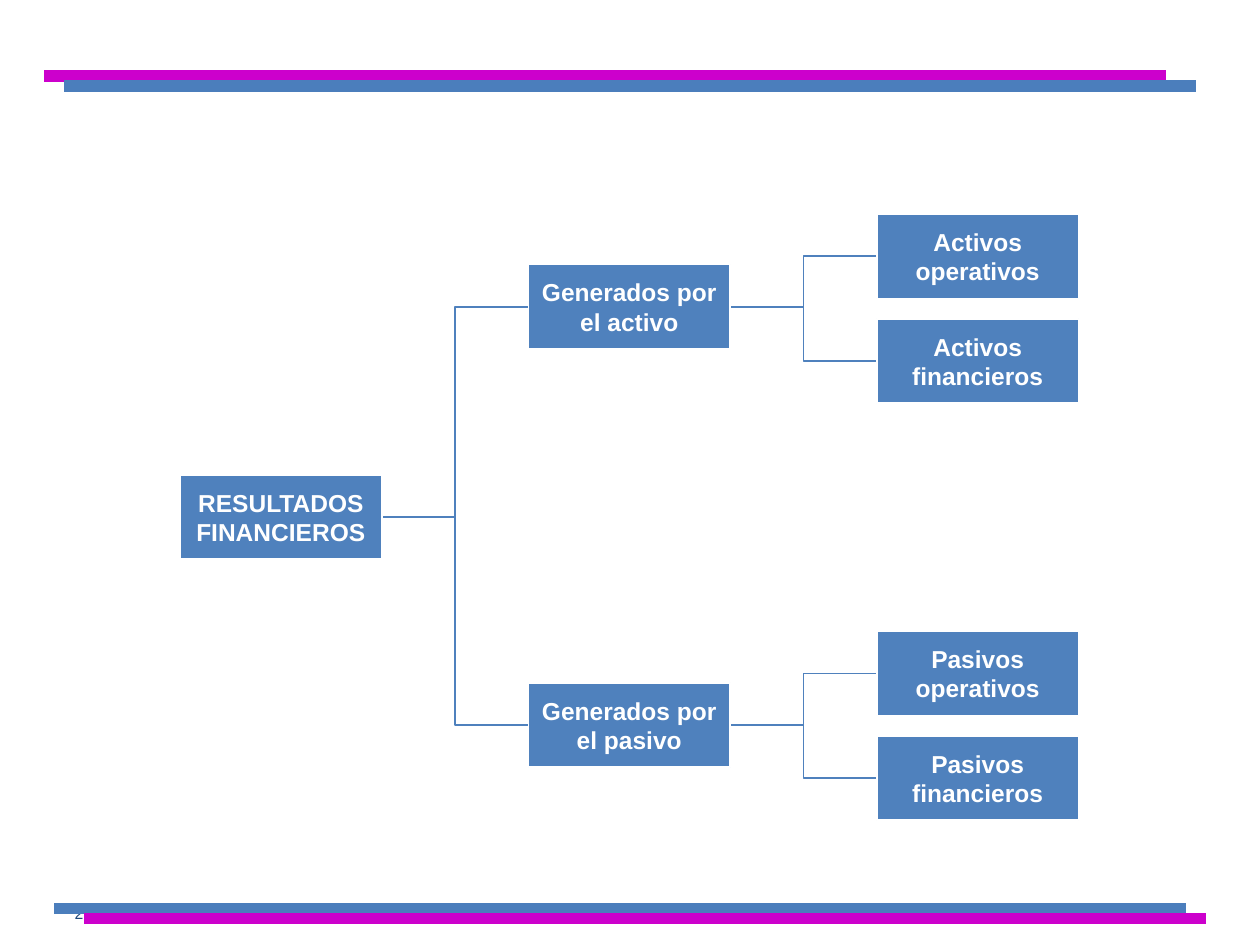
from dataclasses import dataclass

from lxml.etree import SubElement
from pptx import Presentation
from pptx.dml.color import RGBColor
from pptx.enum.shapes import MSO_CONNECTOR, MSO_SHAPE
from pptx.enum.text import MSO_ANCHOR, PP_ALIGN
from pptx.oxml.ns import qn
from pptx.util import Inches, Pt


@dataclass(frozen=True)
class Theme:
    """Colours, font and sizes of the slide."""
    node: RGBColor = RGBColor(0x4F, 0x81, 0xBD)
    white: RGBColor = RGBColor(0xFF, 0xFF, 0xFF)
    blue_bar: RGBColor = RGBColor(0x4B, 0x7E, 0xBC)
    magenta_bar: RGBColor = RGBColor(0xCC, 0x00, 0xCC)
    number: RGBColor = RGBColor(0x1F, 0x49, 0x7D)
    font: str = "Arial"
    node_size: Pt = Pt(14)
    number_size: Pt = Pt(9)
    thin: Pt = Pt(1)
    thick: Pt = Pt(6.75)


THEME = Theme()
NODE_WIDTH, NODE_HEIGHT = Inches(1.6), Inches(0.67)
COLUMN_STEP = Inches(2.765)
LEFT_SITE, RIGHT_SITE = 1, 3

# Each node: label, column, top within the tree, parent label
ROOT = "RESULTADOS FINANCIEROS"
ASSETS = "Generados por el activo"
LIABILITIES = "Generados por el pasivo"
NODES = [
    (ROOT, 0, 2.07, None),
    (ASSETS, 1, 0.4, ROOT),
    (LIABILITIES, 1, 3.72, ROOT),
    ("Activos operativos", 2, 0, ASSETS),
    ("Activos financieros", 2, 0.83, ASSETS),
    ("Pasivos operativos", 2, 3.31, LIABILITIES),
    ("Pasivos financieros", 2, 4.14, LIABILITIES),
]


def write_text(shape, text, size, color, alignment, bold=False):
    """Set one formatted paragraph in a shape."""
    frame = shape.text_frame
    frame.word_wrap = True
    frame.vertical_anchor = MSO_ANCHOR.MIDDLE
    frame.text = text
    paragraph = frame.paragraphs[0]
    paragraph.alignment = alignment
    font = paragraph.runs[0].font
    font.name, font.size, font.bold = THEME.font, size, bold
    font.color.rgb = color


def add_line(slide, kind, start, end, color, width):
    """Draw a connector without a shadow."""
    connector = slide.shapes.add_connector(kind, *start, *end)
    connector.line.color.rgb = color
    connector.line.width = width
    SubElement(connector._element.spPr, qn("a:effectLst"))
    return connector


def add_node(slide, text, left, top):
    """Draw one labelled box of the tree."""
    shape = slide.shapes.add_shape(MSO_SHAPE.RECTANGLE, left, top, NODE_WIDTH, NODE_HEIGHT)
    shape.shadow.inherit = False
    shape.fill.solid()
    shape.fill.fore_color.rgb = THEME.node
    shape.line.color.rgb = THEME.white
    shape.line.width = THEME.thin
    frame = shape.text_frame
    frame.margin_left = frame.margin_right = Inches(0.04)
    frame.margin_top = frame.margin_bottom = Inches(0.04)
    write_text(shape, text, THEME.node_size, THEME.white, PP_ALIGN.CENTER, bold=True)
    return shape


def add_tree(slide, left, top):
    """Place the tree, with its links behind its boxes."""
    corners = {label: (left + column * COLUMN_STEP, top + Inches(offset))
               for label, column, offset, _ in NODES}
    links = []
    for label, _, _, parent in NODES:
        if parent:
            parent_left, parent_top = corners[parent]
            child_left, child_top = corners[label]
            start = (parent_left + NODE_WIDTH, parent_top + NODE_HEIGHT // 2)
            end = (child_left, child_top + NODE_HEIGHT // 2)
            link = add_line(slide, MSO_CONNECTOR.ELBOW, start, end, THEME.node, THEME.thin)
            links.append((link, parent, label))
    boxes = {label: add_node(slide, label, *corner) for label, corner in corners.items()}
    for link, parent, child in links:
        link.begin_connect(boxes[parent], RIGHT_SITE)
        link.end_connect(boxes[child], LEFT_SITE)


def add_page_number(slide, left, top, width, height):
    """Place the slide number."""
    box = slide.shapes.add_textbox(left, top, width, height)
    write_text(box, "22", THEME.number_size, THEME.number, PP_ALIGN.RIGHT)


def add_bars(slide):
    """Draw the paired bars at the foot and head of the slide."""
    bars = [
        (0.43, 9.41, 7.21, THEME.blue_bar),
        (0.67, 9.57, 7.29, THEME.magenta_bar),
        (0.35, 9.25, 0.6, THEME.magenta_bar),
        (0.51, 9.49, 0.68, THEME.blue_bar),
    ]
    for left, right, height, color in bars:
        add_line(slide, MSO_CONNECTOR.STRAIGHT, (Inches(left), Inches(height)),
                 (Inches(right), Inches(height)), color, THEME.thick)


def main():
    """Build and save the slide."""
    presentation = Presentation()
    presentation.slide_width, presentation.slide_height = Inches(10), Inches(7.5)
    slide = presentation.slides.add_slide(presentation.slide_layouts[6])
    add_page_number(slide, Inches(0.45), Inches(7.17), Inches(0.38), Inches(0.16))
    add_tree(slide, Inches(1.43), Inches(1.7))
    add_bars(slide)
    presentation.save("out.pptx")


if __name__ == "__main__":
    main()
